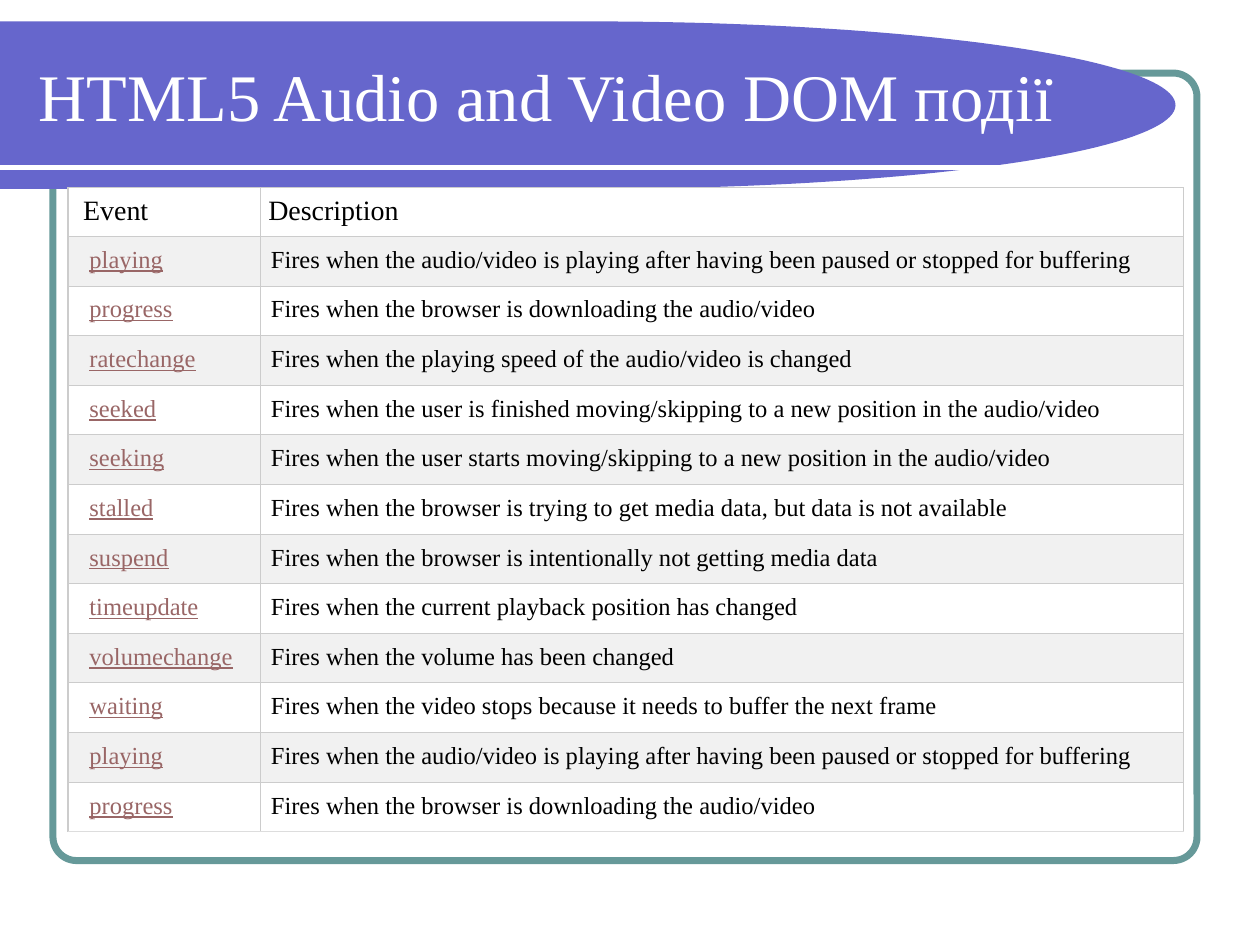
from math import cos, pi, sin

from lxml import etree
from pptx import Presentation
from pptx.dml.color import RGBColor
from pptx.enum.shapes import MSO_CONNECTOR, MSO_SHAPE
from pptx.enum.text import MSO_ANCHOR
from pptx.oxml.ns import qn
from pptx.util import Inches, Pt

STRAIGHT = MSO_CONNECTOR.STRAIGHT
ROUNDED = MSO_SHAPE.ROUNDED_RECTANGLE
MIDDLE = MSO_ANCHOR.MIDDLE

COLORS = {
    "frame": "669999", "banner": "6666CC", "white": "FFFFFF", "text": "000000",
    "event": "996666", "band": "F1F1F1", "grid": "CCCCCC", "bottom": "DDDDDD",
}
EVENTS = [
    ("playing", "Fires when the audio/video is playing after having been paused or stopped for buffering"),
    ("progress", "Fires when the browser is downloading the audio/video"),
    ("ratechange", "Fires when the playing speed of the audio/video is changed"),
    ("seeked", "Fires when the user is finished moving/skipping to a new position in the audio/video"),
    ("seeking", "Fires when the user starts moving/skipping to a new position in the audio/video"),
    ("stalled", "Fires when the browser is trying to get media data, but data is not available"),
    ("suspend", "Fires when the browser is intentionally not getting media data"),
    ("timeupdate", "Fires when the current playback position has changed"),
    ("volumechange", "Fires when the volume has been changed"),
    ("waiting", "Fires when the video stops because it needs to buffer the next frame"),
]
EVENTS += EVENTS[:2]


def rgb(name):
    return RGBColor.from_string(COLORS[name])


class SlideBuilder:
    """Draws styled elements on the current slide."""

    font = "Times New Roman"

    def __init__(self, slide):
        self.slide = slide

    def style_text(self, para, size, color, underline=None):
        para.font.name = self.font
        para.font.size = Pt(size)
        para.font.color.rgb = rgb(color)
        para.font.underline = underline

    def frame(self, left, top, width, height):
        shape = self.slide.shapes.add_shape(
            ROUNDED, Inches(left), Inches(top), Inches(width), Inches(height))
        shape.adjustments[0] = 0.03
        shape.shadow.inherit = False
        shape.fill.background()
        shape.line.color.rgb = rgb("frame")
        shape.line.width = Pt(4)

    def banner(self, top, width, height, steps=90):
        radius_x, radius_y = width / 2, height / 2
        angles = [pi * step / steps - pi / 2 for step in range(steps + 1)]
        curve = [(Inches(radius_x * (1 + cos(angle))),
                  Inches(top + radius_y * (1 + sin(angle)))) for angle in angles]
        builder = self.slide.shapes.build_freeform(0, Inches(top))
        builder.add_line_segments(curve + [(0, Inches(top + height))], close=True)
        shape = builder.convert_to_shape()
        shape.shadow.inherit = False
        shape.fill.solid()
        shape.fill.fore_color.rgb = rgb("banner")
        shape.line.fill.background()

    def rule(self, left, right, y):
        line = self.slide.shapes.add_connector(
            STRAIGHT, Inches(left), Inches(y), Inches(right), Inches(y))
        line.line.color.rgb = rgb("white")
        line.line.width = Pt(3)
        etree.SubElement(line._element.spPr, qn("a:effectLst"))

    def title(self, text, left, top, width, height):
        box = self.slide.shapes.add_textbox(
            Inches(left), Inches(top), Inches(width), Inches(height))
        box.text_frame.word_wrap = True
        box.text_frame.vertical_anchor = MIDDLE
        para = box.text_frame.paragraphs[0]
        para.text = text
        self.style_text(para, 38, "white")

    def cell(self, cell, text, size, color, fill, left, inset, bottom, underline=None):
        cell.text = text
        cell.margin_left = Inches(left)
        cell.margin_top = cell.margin_right = cell.margin_bottom = Inches(inset)
        self.style_text(cell.text_frame.paragraphs[0], size, color, underline)
        properties = cell._tc.get_or_add_tcPr()
        for side in "LRTB":
            border = etree.SubElement(properties, qn(f"a:ln{side}"), w=str(Pt(0.75)))
            paint = etree.SubElement(border, qn("a:solidFill"))
            color_name = bottom if side == "B" else "grid"
            etree.SubElement(paint, qn("a:srgbClr"), val=COLORS[color_name])
        cell.fill.solid()
        cell.fill.fore_color.rgb = rgb(fill)

    def event_table(self, events, left, top, widths, header_height, row_height):
        height = header_height + row_height * len(events)
        table = self.slide.shapes.add_table(
            len(events) + 1, len(widths), Inches(left), Inches(top),
            Inches(sum(widths)), Inches(height)).table
        for column, width in zip(table.columns, widths):
            column.width = Inches(width)
        for row in table.rows:
            row.height = Inches(row_height)
        table.rows[0].height = Inches(header_height)
        for column, (text, margin) in enumerate([("Event", 0.12), ("Description", 0.06)]):
            self.cell(table.cell(0, column), text, 16, "text", "white", margin, 0.06, "grid")
        for row, (event, description) in enumerate(events, start=1):
            fill = "band" if row % 2 else "white"
            bottom = "bottom" if row == len(events) else "grid"
            self.cell(table.cell(row, 0), event, 14, "event", fill, 0.17, 0.08, bottom, True)
            self.cell(table.cell(row, 1), description, 14, "text", fill, 0.08, 0.08, bottom)


def main():
    deck = Presentation()
    deck.slide_width, deck.slide_height = Inches(10), Inches(7.5)
    page = SlideBuilder(deck.slides.add_slide(deck.slide_layouts[6]))
    page.frame(0.42, 0.58, 9.08, 6.25)
    page.banner(0.17, 9.33, 1.33)
    page.rule(0, 8.83, 1.33)
    page.title("HTML5 Audio and Video DOM події", 0.21, 0.25, 8.77, 1)
    page.event_table(EVENTS, 0.54, 1.49, [1.53, 7.32], 0.37, 0.38)
    deck.save("out.pptx")


if __name__ == "__main__":
    main()
